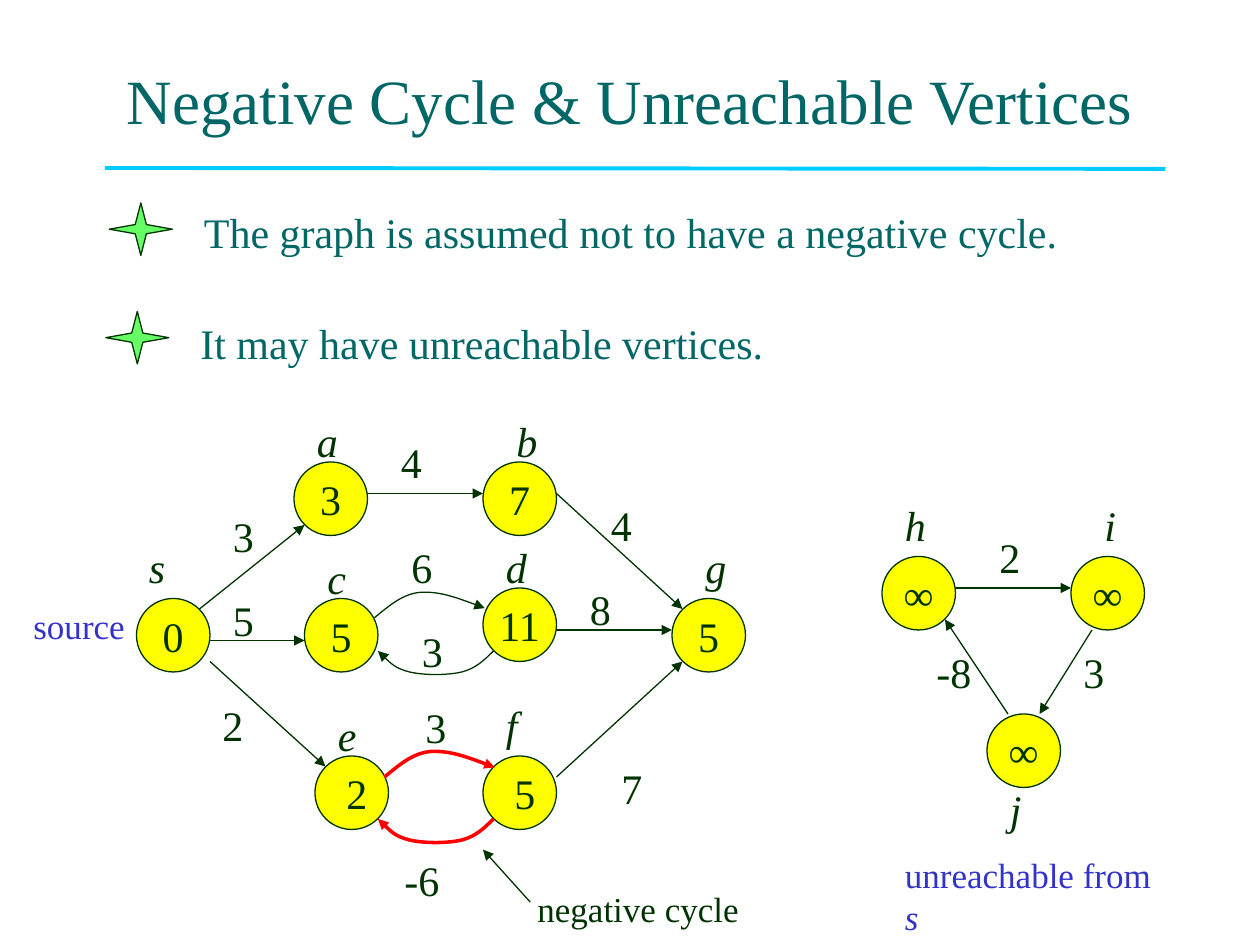
from lxml import etree
from pptx import Presentation
from pptx.dml.color import RGBColor
from pptx.enum.shapes import MSO_CONNECTOR, MSO_SHAPE
from pptx.enum.text import MSO_ANCHOR, MSO_AUTO_SIZE, PP_ALIGN
from pptx.oxml.ns import qn
from pptx.util import Pt

STRAIGHT = MSO_CONNECTOR.STRAIGHT
OVAL, STAR = MSO_SHAPE.OVAL, MSO_SHAPE.STAR_4_POINT
MIDDLE, TOP = MSO_ANCHOR.MIDDLE, MSO_ANCHOR.TOP
CENTER, LEFT = PP_ALIGN.CENTER, PP_ALIGN.LEFT
NO_FIT = MSO_AUTO_SIZE.NONE

FONT = "Times New Roman"
TEAL = RGBColor(0x00, 0x66, 0x66)
CYAN = RGBColor(0x00, 0xCC, 0xFF)
INK = RGBColor(0x00, 0x33, 0x00)
YELLOW = RGBColor(0xFF, 0xFF, 0x00)
GREEN = RGBColor(0x66, 0xFF, 0x66)
RED = RGBColor(0xFF, 0x00, 0x00)
BLUE = RGBColor(0x33, 0x33, 0xCC)

TITLE = "Negative Cycle & Unreachable Vertices"
# text, indent
POINTS = [
    ("The graph is assumed not to have a negative cycle.", 2),
    ("It may have unreachable vertices.", 0),
]
# name, distance shown, left and top of the circle, left and top of the name
VERTICES = [
    ("s", "0", (78, 342), (78, 306)),
    ("a", "3", (168, 264), (174, 234)),
    ("c", "5", (174, 342), (180, 312)),
    ("d", "11", (276, 336), (282, 306)),
    ("b", "7", (276, 264), (288, 234)),
    ("f", " 5", (276, 432), (282, 396)),
    ("g", "5", (384, 342), (396, 306)),
    ("e", " 2", (180, 432), (186, 402)),
    ("h", "∞", (504, 318), (510, 282)),
    ("i", "∞", (612, 318), (624, 282)),
    ("j", "∞", (564, 408), (570, 444)),
]
# weight, left and top of the weight, start, end
EDGES = [
    ("3", (126, 288), (114, 348), (174, 300)),
    ("5", (126, 336), (120, 366), (174, 366)),
    ("2", (120, 396), (120, 378), (186, 438)),
    ("4", (222, 246), (210, 282), (276, 282)),
    ("4", (342, 282), (318, 282), (390, 348)),
    ("8", (330, 330), (318, 360), (384, 360)),
    ("7", (348, 432), (318, 444), (390, 378)),
    ("2", (564, 300), (546, 336), (612, 336)),
    ("3", (612, 366), (624, 360), (594, 408)),
    ("-8", (528, 366), (576, 408), (540, 354)),
]
# Bezier points: the start, then two controls and an end for each segment
ARC_OVER = [(214, 353), (222.5, 346), (230.5, 339), (241, 338.4),
            (252, 338), (265, 343), (277, 347.5)]
ARC_UNDER = [(282, 372), (277, 377), (272, 382), (264, 384), (256, 386),
             (242, 386), (234, 384), (226, 382), (221, 377), (216, 372)]
# weight, left and top of the weight, arc, offset of the arc, colour, line width
CURVED_EDGES = [
    ("6", (228, 306), ARC_OVER, (0, 0), INK, 0.75),
    ("3", (234, 354), ARC_UNDER, (0, 0), INK, 0.75),
    ("3", (236, 397.5), ARC_OVER, (5.7, 91), RED, 2),
    ("-6", (224, 485), ARC_UNDER, (0, 96), RED, 2),
]
DIAMETER = 42
LABEL_WIDTH = 26.6
LABEL_WIDTHS = {"s": 24, "c": 25, "e": 25, "f": 21, "i": 21, "j": 21,
                "-6": 34.5, "-8": 34.5}


def format_runs(p, size, color, italic=None):
    for r in p.runs:
        r.font.name, r.font.size, r.font.italic = FONT, Pt(size), italic
        r.font.color.rgb = color


def place(sp, left, top, width, height):
    sp.left, sp.top, sp.width, sp.height = map(Pt, (left, top, width, height))


def add_text(s, text, at, width, height, size=24, color=INK, italic=None, wrap=False):
    tb = s.shapes.add_textbox(Pt(at[0]), Pt(at[1]), Pt(width), Pt(height))
    tf = tb.text_frame
    tf.word_wrap = wrap
    tf.text = text
    format_runs(tf.paragraphs[0], size, color, italic)
    return tf.paragraphs[0]


def add_label(s, text, at, italic=None):
    add_text(s, text, at, LABEL_WIDTHS.get(text, LABEL_WIDTH), 36, italic=italic)


def style_line(sp, color, width, arrow=True):
    sp.line.color.rgb = color
    sp.line.width = Pt(width)
    if arrow:
        ln = sp.line._get_or_add_ln()
        etree.SubElement(ln, qn("a:tailEnd"), type="triangle")


def add_line(s, start, end, color=INK, width=0.75, arrow=True):
    line = s.shapes.add_connector(STRAIGHT, *map(Pt, start + end))
    style_line(line, color, width, arrow)
    etree.SubElement(line._element.spPr, qn("a:effectLst"))


def add_filled(s, kind, box, fill):
    sp = s.shapes.add_shape(kind, *map(Pt, box))
    sp.shadow.inherit = False
    sp.fill.solid()
    sp.fill.fore_color.rgb = fill
    style_line(sp, INK, 0.75, arrow=False)
    return sp


def add_curve(s, points, offset, color, width):
    """Draw the points as a polyline, then join every three steps into a Bezier."""
    pts = [(Pt(x + offset[0]), Pt(y + offset[1])) for x, y in points]
    fb = s.shapes.build_freeform(*pts[0])
    fb.add_line_segments(pts[1:], close=False)
    sp = fb.convert_to_shape()
    sp.shadow.inherit = False
    sp.fill.background()
    style_line(sp, color, width)
    steps = list(sp._element.iter(qn("a:lnTo")))
    for i in range(0, len(steps), 3):
        bezier = etree.SubElement(steps[i].getparent(), qn("a:cubicBezTo"))
        for step in steps[i:i + 3]:
            bezier.append(step[0])
            step.getparent().remove(step)


def add_heading(s):
    title = s.shapes.title
    place(title, 54, 12, 612, 90)
    tf = title.text_frame
    tf.text = TITLE
    tf.auto_size, tf.vertical_anchor = NO_FIT, MIDDLE
    tf.paragraphs[0].alignment = CENTER
    format_runs(tf.paragraphs[0], 36, TEAL)
    add_line(s, (60, 96), (666, 96.5), CYAN, 2.25, arrow=False)


def add_points(s):
    left, top, pitch, line_height = 107.3, 114.5, 62, 27.6
    body = s.placeholders[1]
    place(body, left, top, 540, 36 + pitch)
    tf = body.text_frame
    tf.text = "\n".join(text for text, _ in POINTS)
    tf.auto_size, tf.vertical_anchor = NO_FIT, TOP
    for i, (p, (_, indent)) in enumerate(zip(tf.paragraphs, POINTS)):
        p.alignment = LEFT
        p.space_before = Pt(pitch - line_height if i else 0)
        format_runs(p, 24, TEAL)
        pPr = p._p.get_or_add_pPr()
        pPr.set("marL", str(Pt(indent)))
        pPr.set("indent", "0")
        etree.SubElement(pPr, qn("a:buNone"))
        star = add_filled(s, STAR, (60.5 + indent, 116 + i * pitch, 36, 30), GREEN)
        star.adjustments[0] = 0.125


def add_graph(s):
    for name, distance, at, name_at in VERTICES:
        sp = add_filled(s, OVAL, at + (DIAMETER, DIAMETER), YELLOW)
        tf = sp.text_frame
        tf.word_wrap, tf.vertical_anchor = False, MIDDLE
        tf.text = distance
        tf.paragraphs[0].alignment = CENTER
        format_runs(tf.paragraphs[0], 24, INK)
        add_label(s, name, name_at, italic=True)
    for weight, at, start, end in EDGES:
        add_line(s, start, end)
        add_label(s, weight, at)
    for weight, at, arc, offset, color, width in CURVED_EDGES:
        add_curve(s, arc, offset, color, width)
        add_label(s, weight, at)


def add_notes_on_graph(s):
    add_text(s, "source", (12, 342), 67, 31, 20, BLUE)
    p = add_text(s, "unreachable from ", (510, 484), 160, 55, 20, BLUE, wrap=True)
    p.add_run().text = "s"
    format_runs(p, 20, BLUE)
    p.runs[-1].font.italic = True
    add_line(s, (303, 515.5), (276, 485.5))
    add_text(s, "negative cycle", (300, 503.5), 135, 31.5, 20)


def main():
    prs = Presentation()
    prs.slide_width, prs.slide_height = Pt(720), Pt(540)
    s = prs.slides.add_slide(prs.slide_layouts[1])
    add_heading(s)
    add_points(s)
    add_graph(s)
    add_notes_on_graph(s)
    prs.save("out.pptx")


if __name__ == "__main__":
    main()
